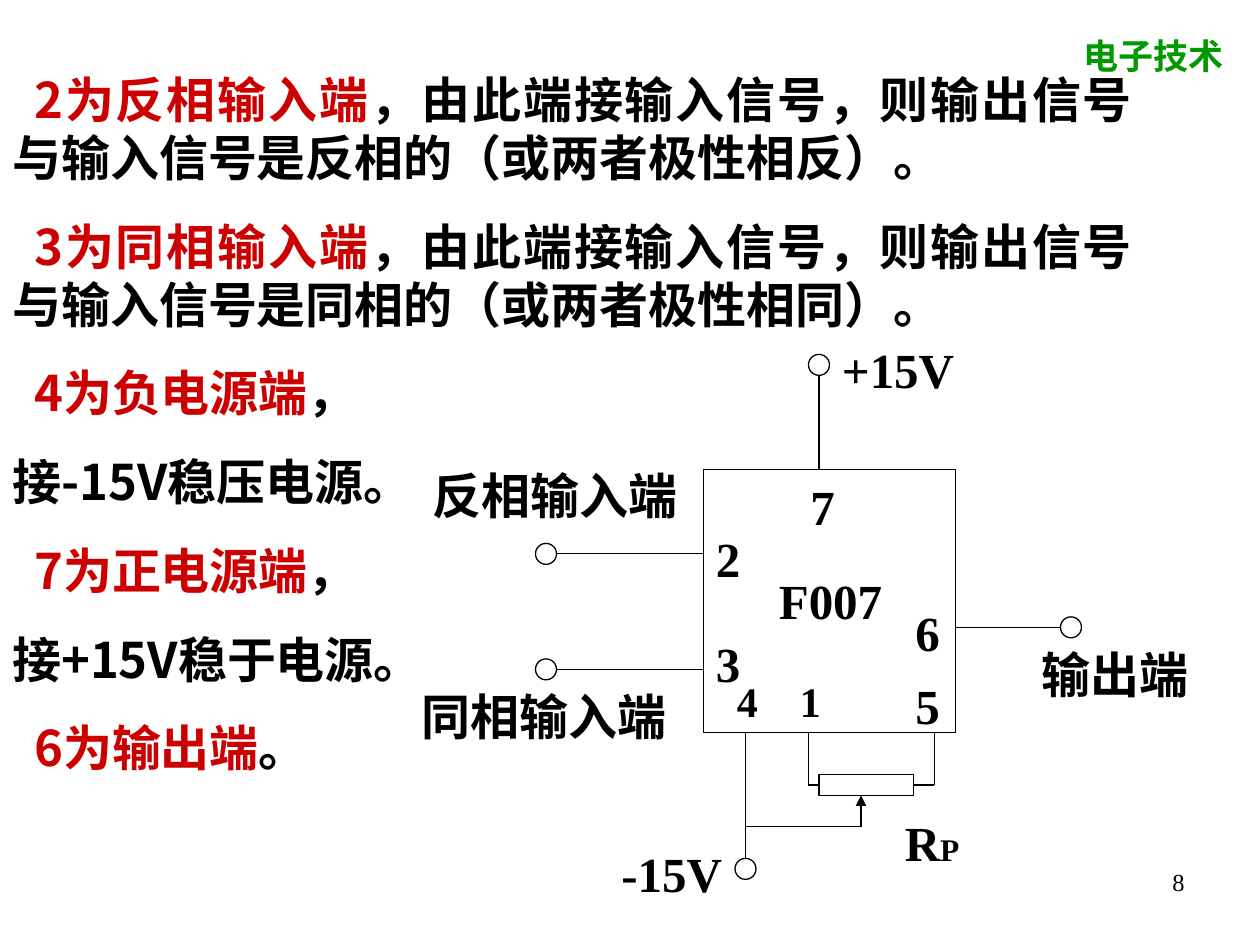
from pptx import Presentation
from pptx.dml.color import RGBColor
from pptx.enum.shapes import MSO_CONNECTOR as Connector, MSO_SHAPE as Shape
from pptx.enum.text import MSO_AUTO_SIZE as AutoSize, PP_ALIGN as Align
from pptx.oxml.ns import qn
from pptx.util import Pt
from lxml.etree import SubElement

BLACK, WHITE, RED, GREEN = "000000", "FFFFFF", "CC0000", "009900"
SERIF, SANS = "Times New Roman", "Noto Sans CJK SC"


def color(value):
    return RGBColor.from_string(value)


class Painter:
    """Draws styled elements on the current slide, with lengths in points."""

    def __init__(self, page, size=28, line_width=0.75):
        self.page = page
        self.size = size
        self.line_width = line_width

    def text_box(self, left, top, width, height):
        box = self.page.shapes.add_textbox(Pt(left), Pt(top), Pt(width), Pt(height))
        box.text_frame.word_wrap = True
        box.text_frame.auto_size = AutoSize.NONE
        return box.text_frame

    def add_span(self, para, text, size=None, font=SERIF, fill=BLACK, bold=True):
        span = para.add_run()
        span.text = text
        span.font.size = Pt(size or self.size)
        span.font.name = font
        span.font.bold = bold
        span.font.color.rgb = color(fill)
        SubElement(span.font._element, qn("a:ea")).set("typeface", SANS)

    def label(self, text, left, top, width, height=41, align=Align.LEFT, **style):
        para = self.text_box(left, top, width, height).paragraphs[0]
        para.alignment = align
        self.add_span(para, text, **style)
        return para

    def body(self, left, top, width, height, items):
        frame = self.text_box(left, top, width, height)
        for index, (key, rest) in enumerate(items):
            para = frame.add_paragraph() if index else frame.paragraphs[0]
            para.alignment = Align.JUSTIFY
            para.line_spacing = Pt(33.2)
            para.space_before = Pt(17.5 if index else 0)
            if key:
                para._p.get_or_add_pPr().set("indent", str(Pt(12.5)))
                self.add_span(para, key, font=SANS, fill=RED)
            self.add_span(para, rest, font=SANS)

    def outline(self, kind, left, top, width, height):
        shape = self.page.shapes.add_shape(kind, Pt(left), Pt(top), Pt(width), Pt(height))
        shape.shadow.inherit = False
        shape.fill.solid()
        shape.fill.fore_color.rgb = color(WHITE)
        shape.line.color.rgb = color(BLACK)
        shape.line.width = Pt(self.line_width)

    def terminal(self, center_x, center_y, radius=6):
        self.outline(Shape.OVAL, center_x - radius, center_y - radius, 2 * radius, 2 * radius)

    def wire(self, *points, arrow=False):
        for (x1, y1), (x2, y2) in zip(points, points[1:]):
            line = self.page.shapes.add_connector(
                Connector.STRAIGHT, Pt(x1), Pt(y1), Pt(x2), Pt(y2))
            line.line.color.rgb = color(BLACK)
            line.line.width = Pt(self.line_width)
            SubElement(line._element.spPr, qn("a:effectLst"))
        if arrow:
            SubElement(line.line._get_or_add_ln(), qn("a:tailEnd")).set("type", "triangle")


def draw_circuit(painter):
    left, top, right, bottom = 402, 268.5, 546, 418.5
    inverting, plain, output = 316.5, 382.5, 358.5
    supply, ground, trim_left, trim_right = 468, 426, 462, 534
    trim, wiper, wiper_joint, ground_end = 448.5, 492, 472.5, 496.5

    painter.outline(Shape.RECTANGLE, left, top, right - left, bottom - top)
    painter.wire((supply, 214.5), (supply, top))
    for height in (inverting, plain):
        painter.wire((318, height), (left, height))
        painter.terminal(312, height)
    painter.wire((right, output), (606, output))
    painter.wire((ground, ground_end - 6), (ground, bottom))
    painter.wire((ground, wiper_joint), (wiper, wiper_joint), (wiper, trim + 6), arrow=True)
    painter.wire((468, trim), (trim_left, trim), (trim_left, bottom))
    painter.wire((522, trim), (trim_right, trim), (trim_right, bottom))
    painter.outline(Shape.RECTANGLE, 468, trim - 6, 54, 12)
    for center in ((supply, 208.5), (612, output), (ground, ground_end)):
        painter.terminal(*center)

    for text, x, y, width in (
        ("F007", 438, 322.5, 84),
        ("2", 402, 298.5, 42),
        ("3", 402, 358.5, 42),
        ("5", 516, 382.5, 36),
        ("6", 516, 340.5, 60),
        ("7", 456, 268.5, 42),
        ("+15V", 474, 190.5, 108),
        ("-15V", 348, 478.5, 102),
        ("输出端", 588, 364.5, 102),
        ("反相输入端", 240, 262.5, 174),
        ("同相输入端", 234, 388.5, 174),
    ):
        painter.label(text, x, y, width)
    for text, x in (("4", 414), ("1", 450)):
        painter.label(text, x, 382.5, 36, 36, size=24)
    resistor = painter.label("R", 510, 460.5, 78)
    painter.add_span(resistor, "P", size=18)


def main():
    deck = Presentation()
    deck.slide_width, deck.slide_height = Pt(720), Pt(540)
    painter = Painter(deck.slides.add_slide(deck.slide_layouts[6]))

    painter.label("电子技术", 612, 16, 104.5, 32, size=20, fill=GREEN)
    painter.body(0, 36.5, 654, 464, (
        ("2为反相输入端", "，由此端接输入信号，则输出信号与输入信号是反相的（或两者极性相反）。"),
        ("3为同相输入端", "，由此端接输入信号，则输出信号与输入信号是同相的（或两者极性相同）。"),
        ("4为负电源端", "，"),
        ("", "接-15V稳压电源。"),
        ("7为正电源端", "，"),
        ("", "接+15V稳于电源。"),
        ("6为输出端", "。"),
    ))
    draw_circuit(painter)
    painter.label("8", 516, 492, 168, 37.5, align=Align.RIGHT, size=14, bold=False)
    deck.save("out.pptx")


if __name__ == "__main__":
    main()
